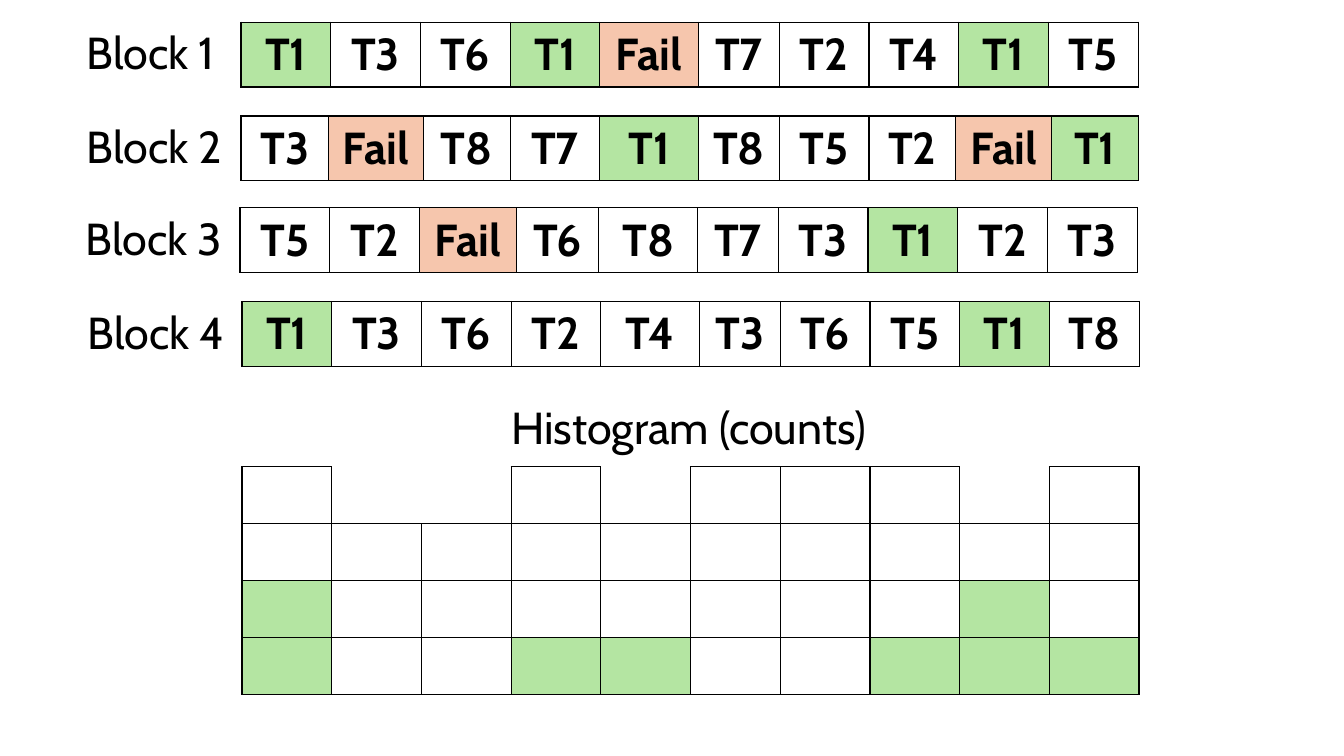
from dataclasses import dataclass
from lxml.etree import SubElement
from pptx import Presentation
from pptx.dml.color import RGBColor
from pptx.enum.text import MSO_AUTO_SIZE as AutoSize, PP_ALIGN as Align
from pptx.oxml.ns import qn
from pptx.util import Inches, Pt


@dataclass(frozen=True)
class Theme:
    font: str = "Cabin"
    size: int = 32
    ink: str = "000000"
    line: int = 1
    hit: str = "B4E5A2"
    fail: str = "F6C6AD"


THEME = Theme()


def write(frame, text, bold=False, align=Align.LEFT):
    para = frame.paragraphs[0]
    para.alignment = align
    span = para.add_run()
    span.text = text
    span.font.name = THEME.font
    span.font.size = Pt(THEME.size)
    span.font.bold = bold
    span.font.color.rgb = RGBColor.from_string(THEME.ink)


def add_grid(left, top, widths, height, rows):
    """Rows hold (text, fill) pairs; None is an open cell without its own border."""
    grid = page.shapes.add_table(
        len(rows), len(widths), Inches(left), Inches(top),
        Inches(sum(widths)), Inches(height * len(rows))).table
    grid.first_row = grid.horz_banding = False
    for column, width in zip(grid.columns, widths):
        column.width = Inches(width)
    closed = {(r, c) for r, row in enumerate(rows)
              for c, entry in enumerate(row) if entry}
    for r, row in enumerate(rows):
        grid.rows[r].height = Inches(height)
        for c, entry in enumerate(row):
            cell = grid.cell(r, c)
            text, fill = entry or ("", None)
            # An edge shows when a closed cell lies on either side of it
            properties = cell._tc.get_or_add_tcPr()
            neighbours = {"L": (r, c - 1), "R": (r, c + 1), "T": (r - 1, c), "B": (r + 1, c)}
            for side, neighbour in neighbours.items():
                edge = SubElement(properties, qn(f"a:ln{side}"), w=str(Pt(THEME.line)))
                if closed & {(r, c), neighbour}:
                    paint = SubElement(edge, qn("a:solidFill"))
                    SubElement(paint, qn("a:srgbClr"), val=THEME.ink)
                else:
                    SubElement(edge, qn("a:noFill"))
            if fill:
                cell.fill.solid()
                cell.fill.fore_color.rgb = RGBColor.from_string(fill)
            else:
                cell.fill.background()
            if text:
                write(cell.text_frame, text, bold=True, align=Align.CENTER)


deck = Presentation()
deck.slide_width, deck.slide_height = Inches(13.33), Inches(7.5)
page = deck.slides.add_slide(deck.slide_layouts[6])

# Blocks: left, top, column widths, entries
COMMON_WIDTHS = [0.89] * 4 + [0.98, 0.8] + [0.89] * 4
BLOCKS = [
    (2.39, 0.22, COMMON_WIDTHS, "T1 T3 T6 T1 Fail T7 T2 T4 T1 T5".split()),
    (2.39, 1.15, [0.87, 0.94, 0.86, 0.89, 0.98, 0.8, 0.89, 0.86, 0.95, 0.86],
     "T3 Fail T8 T7 T1 T8 T5 T2 Fail T1".split()),
    (2.38, 2.06, [0.89, 0.89, 0.96, 0.82, 0.98, 0.8] + [0.89] * 4,
     "T5 T2 Fail T6 T8 T7 T3 T1 T2 T3".split()),
    (2.4, 2.99, COMMON_WIDTHS, "T1 T3 T6 T2 T4 T3 T6 T5 T1 T8".split()),
]
FILLS = {"T1": THEME.hit, "Fail": THEME.fail}
labels = [("Histogram (counts)", 4.97, 3.92, 4.45)]
for number, (left, top, widths, entries) in enumerate(BLOCKS, 1):
    add_grid(left, top, widths, 0.63, [[(entry, FILLS.get(entry)) for entry in entries]])
    labels.append((f"Block {number}", left - 1.63, top - 0.02, 1.71))

# Histogram: each column is as tall as its successes, filled up to its T1 count
levels = len(BLOCKS)
columns = list(zip(*(entries for *_, entries in BLOCKS)))
histogram = [
    [("", THEME.hit if column.count("T1") >= level else None)
     if levels - column.count("Fail") >= level else None
     for column in columns]
    for level in range(levels, 0, -1)]
add_grid(2.4, 4.63, [0.89] * len(columns), 0.565, histogram)

# Block labels and histogram heading
for text, left, top, width in labels:
    box = page.shapes.add_textbox(Inches(left), Inches(top), Inches(width), Inches(0.64))
    box.text_frame.word_wrap = True
    box.text_frame.auto_size = AutoSize.SHAPE_TO_FIT_TEXT
    write(box.text_frame, text)

deck.save("out.pptx")
